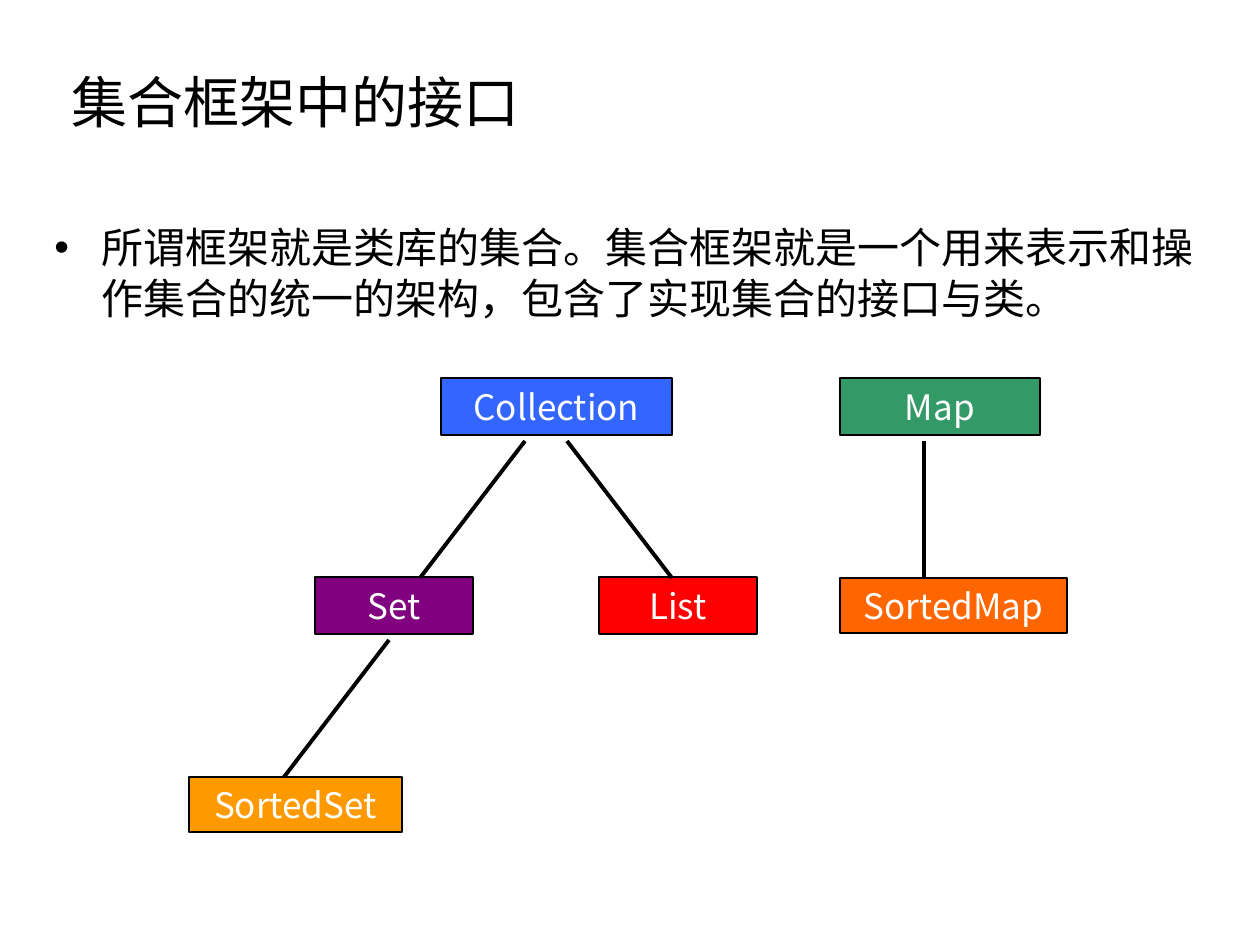
from pptx import Presentation
from pptx.dml.color import RGBColor
from pptx.enum.shapes import MSO_CONNECTOR as CONN, MSO_SHAPE as SHAPE
from pptx.enum.text import MSO_ANCHOR as ANCHOR, PP_ALIGN as ALIGN
from pptx.oxml.ns import qn
from pptx.util import Pt
from lxml.etree import SubElement

FONT = "Noto Sans CJK SC"
BLACK = RGBColor(0x00, 0x00, 0x00)
WHITE = RGBColor(0xFF, 0xFF, 0xFF)
BLUE = RGBColor(0x33, 0x66, 0xFF)
GREEN = RGBColor(0x33, 0x99, 0x66)
PURPLE = RGBColor(0x80, 0x00, 0x80)
RED = RGBColor(0xFF, 0x00, 0x00)
ORANGE = RGBColor(0xFF, 0x66, 0x00)
AMBER = RGBColor(0xFF, 0x99, 0x00)

NODES = [
    ("Collection", 252, 0, 231, 57, BLUE),
    ("Set", 126, 199, 158, 57, PURPLE),
    ("List", 410, 199, 158, 57, RED),
    ("SortedSet", 0, 399, 213, 55, AMBER),
    ("Map", 651, 0, 200, 57, GREEN),
    ("SortedMap", 651, 200, 227, 55, ORANGE),
]
LINKS = [
    (336, 63, 231, 200),
    (378, 63, 483, 200),
    (200, 262, 95, 399),
    (735, 63, 735, 200),
]


def px(n):
    """Turn pixels into EMU."""
    return round(n * 914400 / 126)


def write(tf, text, size, color):
    """Put one styled paragraph in a text frame and return it."""
    tf.word_wrap = True
    tf.text = text
    p = tf.paragraphs[0]
    font = p.runs[0].font
    font.name, font.size, font.color.rgb = FONT, Pt(size), color
    SubElement(p.runs[0]._r.get_or_add_rPr(), qn("a:ea"), typeface=FONT)
    return p


def add_title(slide, x, y, w, h):
    """Add the heading, centred vertically in its box."""
    tf = slide.shapes.add_textbox(px(x), px(y), px(w), px(h)).text_frame
    tf.vertical_anchor = ANCHOR.MIDDLE
    write(tf, "集合框架中的接口", 32, BLACK)


def add_body(slide, x, y, w, h):
    """Add the bulleted definition with a hanging indent."""
    tf = slide.shapes.add_textbox(px(x), px(y), px(w), px(h)).text_frame
    p = write(tf, "所谓框架就是类库的集合。集合框架就是一个用来表示和操作"
              "集合的统一的架构，包含了实现集合的接口与类。", 24, BLACK)
    p.line_spacing = Pt(29)
    pPr = p._p.get_or_add_pPr()
    pPr.set("marL", str(px(47)))
    pPr.set("indent", str(-px(47)))
    SubElement(pPr, qn("a:buFont"), typeface="Arial")
    SubElement(pPr, qn("a:buChar"), char="•")


def add_node(slide, text, x, y, w, h, color):
    """Add one labelled interface box."""
    sp = slide.shapes.add_shape(SHAPE.RECTANGLE, px(x), px(y), px(w), px(h))
    sp.shadow.inherit = False
    sp.fill.solid()
    sp.fill.fore_color.rgb = color
    sp.line.color.rgb = BLACK
    sp.line.width = Pt(1)
    tf = sp.text_frame
    tf.margin_top = tf.margin_bottom = 0
    tf.vertical_anchor = ANCHOR.MIDDLE
    write(tf, text, 20, WHITE).alignment = ALIGN.CENTER


def add_link(slide, x1, y1, x2, y2):
    """Add one plain line between two interfaces."""
    line = slide.shapes.add_connector(CONN.STRAIGHT, px(x1), px(y1), px(x2), px(y2))
    line.line.color.rgb = BLACK
    line.line.width = Pt(2.25)
    SubElement(line._element.spPr, qn("a:effectLst"))


def add_hierarchy(slide, x, y):
    """Add the interface trees from their top left corner."""
    for text, left, top, w, h, color in NODES:
        add_node(slide, text, x + left, y + top, w, h, color)
    for x1, y1, x2, y2 in LINKS:
        add_link(slide, x + x1, y + y1, x + x2, y + y2)


def main():
    """Build and save the slide."""
    prs = Presentation()
    prs.slide_width, prs.slide_height = px(1260), px(945)
    slide = prs.slides.add_slide(prs.slide_layouts[6])
    add_title(slide, 59, 62, 1142, 79)
    add_body(slide, 42, 215, 1177, 655)
    add_hierarchy(slide, 189, 378)
    prs.save("out.pptx")


if __name__ == "__main__":
    main()
